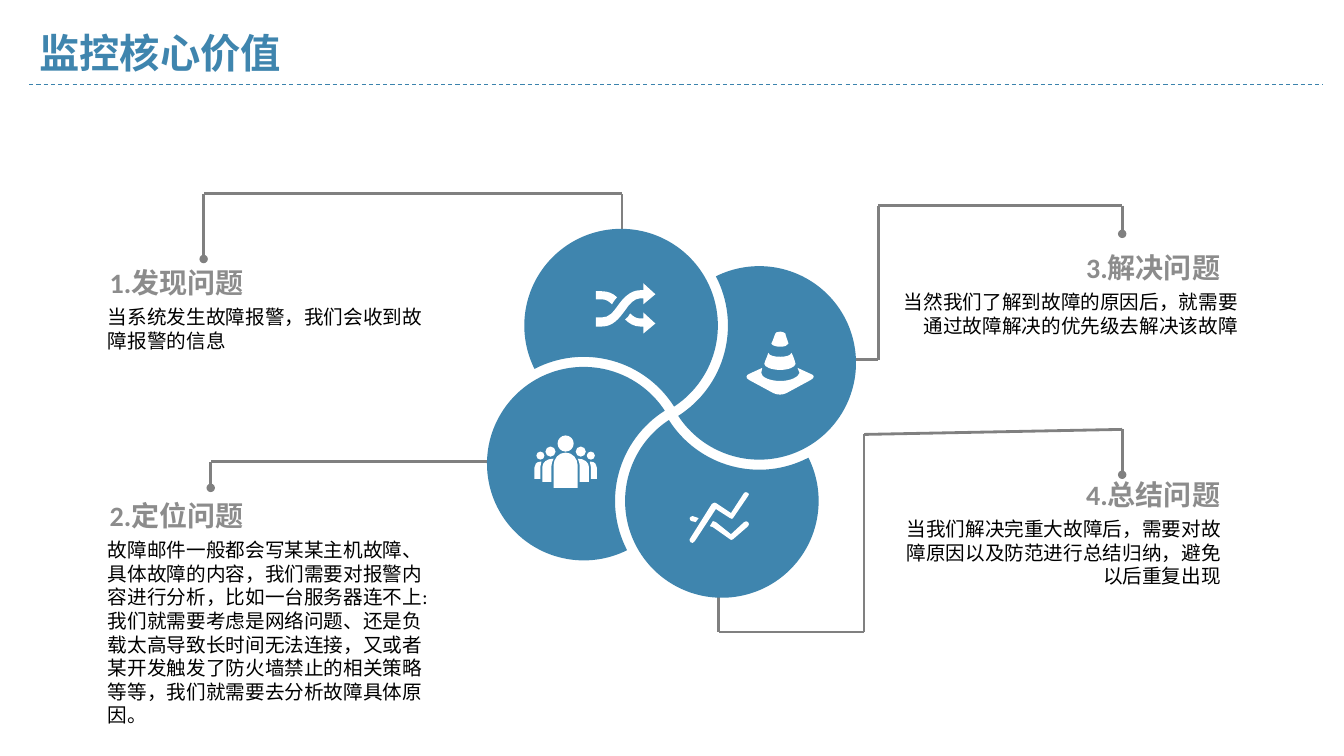
from dataclasses import dataclass
from math import acos, atan2, cos, hypot, pi, sin, tan

from lxml import etree
from pptx import Presentation
from pptx import util as u
from pptx.dml.color import RGBColor
from pptx.enum import dml, shapes, text
from pptx.oxml import ns


@dataclass(frozen=True)
class Theme:
    """Colours, font and sizes of the slide."""
    blue: str = "3F85AE"
    rule: str = "3B83AD"
    lead: str = "808080"
    heading: str = "8C8C8C"
    body: str = "000000"
    white: str = "FFFFFF"
    font: str = "Calibri"
    title_size: float = 28.8
    heading_size: float = 20
    body_size: float = 14
    rule_width: float = 0.75
    lead_width: float = 2


def write(frame, words, *, font, size, color, bold=False, right=False):
    """Put formatted words in a text frame."""
    frame.word_wrap = True
    paragraph = frame.paragraphs[0]
    paragraph.alignment = text.PP_ALIGN.RIGHT if right else text.PP_ALIGN.LEFT
    run = paragraph.add_run()
    run.text = words
    run.font.name = font
    run.font.size = u.Pt(size)
    run.font.bold = bold
    run.font.color.rgb = RGBColor.from_string(color)


def arc(x, y, radius, start, end, pieces=4):
    """Return a circular arc as a start point and curve steps."""
    turn = (end - start) / pieces
    pull = 4 / 3 * tan(turn / 4)
    steps = [[(x + radius * cos(start), y + radius * sin(start))]]
    for i in range(pieces):
        a, b = start + turn * i, start + turn * (i + 1)
        steps.append([(x + radius * (cos(a) - pull * sin(a)), y + radius * (sin(a) + pull * cos(a))),
                      (x + radius * (cos(b) + pull * sin(b)), y + radius * (sin(b) - pull * cos(b))),
                      (x + radius * cos(b), y + radius * sin(b))])
    return steps


def trace(outline):
    """Return the steps of an outline: one point per line, three per curve."""
    steps = []
    for chunk in outline.replace("L", "|L").replace("C", "|C").split("|"):
        n = [float(value) for value in chunk[1:].split()]
        points = list(zip(n[::2], n[1::2]))
        size = 3 if chunk[0] == "C" else 1
        steps += [points[k:k + size] for k in range(0, len(points), size)]
    return steps


def petal(center, offset, radius=0.96, cut=1.06):
    """Return a disc with a bite taken out around the next disc."""
    x, y = center[0] + offset[0], center[1] + offset[1]
    next_x, next_y = center[0] + offset[1], center[1] - offset[0]
    gap = hypot(next_x - x, next_y - y)
    toward = atan2(next_y - y, next_x - x)
    own = acos((gap ** 2 + radius ** 2 - cut ** 2) / (2 * gap * radius))
    bite = acos((gap ** 2 + cut ** 2 - radius ** 2) / (2 * gap * cut))
    return (arc(x, y, radius, toward - own, toward + own - 2 * pi, pieces=8)
            + arc(next_x, next_y, cut, toward - pi - bite, toward - pi + bite)[1:])


def team(middle=5.61):
    """Return the outlines of five people, mirrored about the middle one."""
    heads = [(0, 4.4, 0.08), (0.15, 4.48, 0.05), (-0.15, 4.48, 0.05),
             (0.25, 4.52, 0.04), (-0.25, 4.52, 0.04)]
    bodies = [trace(outline) for outline in SIDE_BODIES]
    mirrored = [[[(2 * middle - x, y) for x, y in step] for step in body] for body in bodies]
    return [arc(middle + x, y, r, 0, 2 * pi) for x, y, r in heads] + bodies + mirrored + [trace(LEADER)]


class Board:
    """Holds the theme and the current slide, and draws each kind of element."""

    def __init__(self, slide, theme):
        self.shapes, self.theme = slide.shapes, theme

    def line(self, start, end, color, width, dashed=False, dot=False):
        """Draw a straight line, with a dot at its end if asked."""
        connector = self.shapes.add_connector(
            shapes.MSO_CONNECTOR.STRAIGHT, *(u.Inches(v) for v in (*start, *end)))
        connector.line.color.rgb = RGBColor.from_string(color)
        connector.line.width = u.Pt(width)
        if dashed:
            connector.line.dash_style = dml.MSO_LINE.DASH
        properties = connector._element.spPr
        if dot:
            etree.SubElement(properties.find(ns.qn("a:ln")), ns.qn("a:tailEnd"), type="oval")
        etree.SubElement(properties, ns.qn("a:effectLst"))

    def lead(self, *points):
        """Draw a lead through the points, dotted at the last."""
        for start, end in zip(points, points[1:]):
            self.line(start, end, self.theme.lead, self.theme.lead_width, dot=end == points[-1])

    def outline(self, contours, color):
        """Draw closed contours as one filled shape with true curves."""
        scaled = [[(u.Inches(x), u.Inches(y)) for step in contour for x, y in step]
                  for contour in contours]
        builder = self.shapes.build_freeform(*scaled[0][0], scale=1.0)
        for i, contour in enumerate(scaled):
            if i:
                builder.move_to(*contour[0])
            builder.add_line_segments(contour[1:], close=True)
        shape = builder.convert_to_shape()
        segments = iter(list(shape._element.iter(ns.qn("a:lnTo"))))
        for step in (step for contour in contours for step in contour[1:]):
            first, *rest = [next(segments) for _ in step]
            if rest:
                first.tag = ns.qn("a:cubicBezTo")
            for segment in rest:
                first.append(segment[0])
                segment.getparent().remove(segment)
        shape.shadow.inherit = False
        shape.fill.solid()
        shape.fill.fore_color.rgb = RGBColor.from_string(color)
        shape.line.fill.background()

    def label(self, place, words, size, color, **style):
        """Add a one-line bold label centred in its height."""
        frame = self.shapes.add_textbox(*(u.Inches(v) for v in place)).text_frame
        frame.vertical_anchor = text.MSO_ANCHOR.MIDDLE
        write(frame, words, font=self.theme.font, size=size, color=color, bold=True, **style)

    def body(self, place, words, **style):
        """Add a block of body text without insets."""
        frame = self.shapes.add_textbox(*(u.Inches(v) for v in place)).text_frame
        frame.margin_left = frame.margin_right = frame.margin_top = frame.margin_bottom = 0
        frame.auto_size = text.MSO_AUTO_SIZE.SHAPE_TO_FIT_TEXT
        write(frame, words, font=self.theme.font, size=self.theme.body_size,
              color=self.theme.body, **style)


LEADS = [
    [(4.99, 4.58), (2.09, 4.58), (2.09, 4.84)],
    [(6.17, 2.35), (6.17, 1.92), (2.02, 1.92), (2.02, 2.57)],
    [(8.41, 3.57), (8.71, 3.57), (8.71, 2.04), (11.13, 2.04), (11.13, 2.32)],
    [(7.13, 5.81), (7.13, 6.27), (8.57, 6.27), (8.57, 4.31), (11.13, 4.26), (11.13, 4.71)],
]
STEPS = [
    ("1.发现问题", 0.99, 2.66, 1.07, 3.15, 0.47, False,
     "当系统发生故障报警，我们会收到故障报警的信息"),
    ("2.定位问题", 0.99, 4.97, 1.07, 3.15, 1.88, False,
     "故障邮件一般都会写某某主机故障、具体故障的内容，我们需要对报警内容进行分析，"
     "比如一台服务器连不上:我们就需要考虑是网络问题、还是负载太高导致长时间无法连接，"
     "又或者某开发触发了防火墙禁止的相关策略等等，我们就需要去分析故障具体原因。"),
    ("4.总结问题", 10, 4.76, 8.96, 3.15, 0.71, True,
     "当我们解决完重大故障后，需要对故障原因以及防范进行总结归纳，避免以后重复出现"),
    ("3.解决问题", 10, 2.51, 8.96, 3.32, 0.47, True,
     "当然我们了解到故障的原因后，就需要通过故障解决的优先级去解决该故障"),
]
SIDE_BODIES = [
    "M5.37 4.58 C5.36 4.6 5.36 4.61 5.36 4.63 L5.36 4.75 5.3 4.75 5.3 4.64 C5.3 4.61 5.32 4.58 5.36 4.58",
    "M5.47 4.62 L5.47 4.78 5.38 4.78 5.38 4.63 C5.38 4.59 5.42 4.55 5.49 4.55 5.48 4.57 5.47 4.6 5.47 4.62",
]
LEADER = "M5.49 4.84 L5.73 4.84 5.73 4.62 C5.73 4.55 5.68 4.49 5.61 4.49 5.54 4.49 5.49 4.55 5.49 4.62"
TREND = [
    "M7.1 5.05 L7.24 5.14 C7.25 5.15 7.27 5.15 7.27 5.14 L7.42 4.92 C7.43 4.91 7.43 4.9 7.42 4.89"
    "C7.4 4.88 7.39 4.88 7.38 4.89 L7.25 5.09 7.1 4.99 C7.1 4.99 7.07 4.98 7.06 5 L6.84 5.35"
    "C6.84 5.36 6.84 5.38 6.85 5.38 6.86 5.39 6.88 5.39 6.89 5.37",
    "M7.38 5.18 L7.25 5.3 7.1 5.18 7.07 5.17 7.04 5.22 7.07 5.23 7.24 5.35 C7.24 5.36 7.26 5.36 7.27 5.35"
    "L7.42 5.22 C7.43 5.21 7.43 5.19 7.42 5.18 7.41 5.17 7.39 5.17 7.38 5.18",
    "M6.86 5.17 L6.9 5.18 6.93 5.14 6.87 5.12 C6.86 5.12 6.84 5.13 6.84 5.14 6.84 5.16 6.85 5.17 6.86 5.17",
]
SHUFFLE = [
    "M6.38 3.16 L6.35 3.16 C6.31 3.16 6.28 3.14 6.25 3.11 6.24 3.13 6.22 3.16 6.2 3.17"
    "C6.24 3.21 6.29 3.24 6.35 3.24 L6.38 3.24 6.38 3.31 6.5 3.21 6.38 3.1",
    "M6.07 3.02 C6.08 3 6.1 2.97 6.12 2.95 6.08 2.91 6.03 2.89 5.97 2.89"
    "L5.91 2.89 5.91 2.97 5.97 2.97 C6.01 2.97 6.04 2.99 6.07 3.02",
    "M6.35 2.96 L6.38 2.96 6.38 3.02 6.5 2.92 6.38 2.81 6.38 2.88 6.35 2.88"
    "C6.25 2.88 6.18 2.96 6.13 3.03 6.08 3.1 6.04 3.15 5.97 3.15 L5.91 3.15 5.91 3.24 5.97 3.24"
    "C6.08 3.24 6.14 3.16 6.2 3.08 6.24 3.02 6.29 2.96 6.35 2.96",
]
CONE = [
    "M8.04 3.71 L7.91 3.65 7.93 3.7 C7.92 3.74 7.84 3.78 7.74 3.78 7.63 3.78 7.55 3.74 7.55 3.7"
    "L7.56 3.65 7.43 3.71 C7.4 3.72 7.39 3.75 7.43 3.77 L7.67 3.9 C7.71 3.92 7.76 3.92 7.8 3.9"
    "L8.04 3.77 C8.08 3.75 8.08 3.72 8.04 3.71",
    "M7.74 3.44 C7.78 3.44 7.81 3.43 7.82 3.41 7.81 3.37 7.79 3.33 7.79 3.31 7.78 3.3 7.76 3.29 7.74 3.29"
    "C7.71 3.29 7.69 3.3 7.69 3.31 7.68 3.33 7.67 3.37 7.65 3.41 7.66 3.43 7.7 3.44 7.74 3.44",
    "M7.74 3.67 C7.82 3.67 7.89 3.64 7.89 3.61 7.88 3.57 7.87 3.54 7.85 3.5 7.84 3.53 7.79 3.54 7.74 3.54"
    "C7.68 3.54 7.63 3.53 7.62 3.5 7.61 3.54 7.59 3.57 7.58 3.61 7.58 3.64 7.65 3.67 7.74 3.67",
]


def main():
    """Build the slide and save it."""
    deck = Presentation()
    deck.slide_width, deck.slide_height = u.Inches(13.33), u.Inches(7.5)
    theme = Theme()
    board = Board(deck.slides.add_slide(deck.slide_layouts[6]), theme)
    board.line((0.29, 0.84), (13.12, 0.84), theme.rule, theme.rule_width, dashed=True)
    for lead in LEADS:
        board.lead(*lead)
    for heading, left, top, body_left, width, height, right, body in STEPS:
        board.label((left, top, 2.2, 0.29), heading, theme.heading_size, theme.heading, right=right)
        board.body((body_left, top + 0.37, width, height), body, right=right)
    for offset in ((-0.5, -0.87), (-0.87, 0.5), (0.5, 0.87), (0.87, -0.5)):
        board.outline([petal((6.66, 4.1), offset)], theme.blue)
    for icon in [team()] + [[trace(part) for part in parts] for parts in (TREND, SHUFFLE, CONE)]:
        board.outline(icon, theme.white)
    board.label((0.29, 0.21, 12, 0.61), "监控核心价值", theme.title_size, theme.blue)
    deck.save("out.pptx")


if __name__ == "__main__":
    main()
